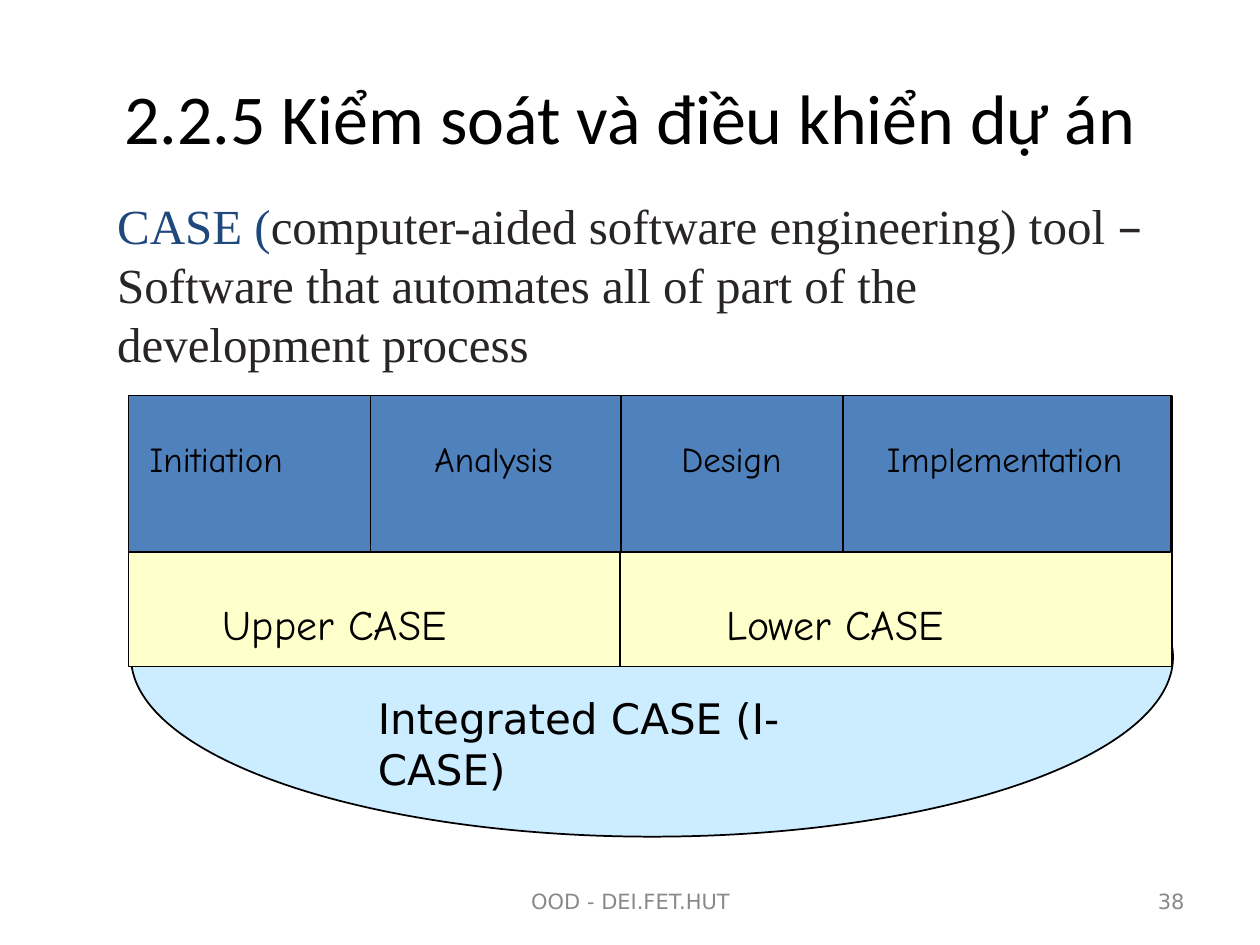
from dataclasses import dataclass

from lxml.etree import SubElement
from pptx import Presentation
from pptx.dml.color import RGBColor
from pptx.enum.shapes import MSO_SHAPE as Shape
from pptx.enum.text import MSO_ANCHOR as Anchor, MSO_AUTO_SIZE as AutoSize, PP_ALIGN as Align
from pptx.oxml.ns import qn
from pptx.util import Inches, Pt


@dataclass(frozen=True)
class Theme:
    """Colours, fonts and type sizes of the slide."""
    black: str = "000000"
    grey: str = "898989"
    navy: str = "1F497D"
    ink: str = "292526"
    blue: str = "4F81BD"
    yellow: str = "FFFFCC"
    sky: str = "CCECFF"
    heading: str = "Calibri"
    serif: str = "Times New Roman"
    casual: str = "Comic Neue"
    sans: str = "DejaVu Sans"
    title: int = 40
    body: int = 28
    label: int = 24
    phase: int = 20
    small: int = 12


THEME = Theme()
DIAGRAM_TOP = 3.14
CASE_HEIGHT = 2.15
PHASE_HEIGHT = 1.24
CASE_SPANS = [(4.86, 4.44), (1.02, 3.9)]
PHASE_SPANS = [(4.86, 2.15), (6.69, 2.6), (1.02, 1.99), (2.94, 1.99)]


def place(shape, left, top, width, height):
    """Move and size a shape, in inches."""
    shape.left, shape.top = Inches(left), Inches(top)
    shape.width, shape.height = Inches(width), Inches(height)


def add_run(paragraph, text, font, size, color):
    """Append formatted text to a paragraph."""
    run = paragraph.add_run()
    run.text = text
    run.font.name = font
    run.font.size = Pt(size)
    run.font.color.rgb = RGBColor.from_string(color)


def write_text(shape, *runs, font=THEME.sans, size=THEME.label, color=THEME.black,
               align=Align.LEFT, anchor=Anchor.TOP, tabs=()):
    """Fill a shape with one paragraph; a run is text or (text, font, color)."""
    frame = shape.text_frame
    frame.word_wrap = True
    frame.auto_size = AutoSize.NONE
    frame.vertical_anchor = anchor
    paragraph = frame.paragraphs[0]
    paragraph.alignment = align
    paragraph.space_before = Pt(0)
    for run in runs:
        text, run_font, run_color = (run, font, color) if isinstance(run, str) else run
        add_run(paragraph, text, run_font, size, run_color)
    if tabs:
        set_tabs(paragraph, tabs)
    return paragraph


def set_tabs(paragraph, positions):
    """Set left tab stops, in inches from the text edge."""
    tab_list = SubElement(paragraph._p.get_or_add_pPr(), qn("a:tabLst"))
    for position in positions:
        SubElement(tab_list, qn("a:tab"), pos=str(Inches(position)), algn="l")


def remove_bullet(paragraph):
    """Clear the bullet and hanging indent of a body paragraph."""
    properties = paragraph._p.get_or_add_pPr()
    properties.set("marL", "0")
    properties.set("indent", "0")
    SubElement(properties, qn("a:buNone"))


def add_label(slide, box, text, **style):
    """Add a text box with formatted text."""
    return write_text(slide.shapes.add_textbox(*map(Inches, box)), text, **style)


def add_block(slide, kind, box, fill):
    """Add a filled shape with a thin black outline."""
    shape = slide.shapes.add_shape(kind, *map(Inches, box))
    shape.shadow.inherit = False
    shape.fill.solid()
    shape.fill.fore_color.rgb = RGBColor.from_string(fill)
    shape.line.color.rgb = RGBColor.from_string(THEME.black)
    shape.line.width = Pt(1)


def add_heading(slide):
    """Fill the title and body placeholders."""
    title, body = slide.placeholders
    place(title, 0.5, 0.3, 9, 1.25)
    write_text(title, "2.2.5 Kiểm soát và điều khiển dự án", font=THEME.heading,
               size=THEME.title, align=Align.CENTER, anchor=Anchor.MIDDLE)
    place(body, 0.83, 1.67, 8.46, 1.17)
    definition = write_text(
        body,
        ("CASE (", THEME.serif, THEME.navy),
        "computer-aided software engineering) tool ",
        ("–", THEME.sans, THEME.ink),
        " Software that automates all of part of the development process",
        font=THEME.serif, size=THEME.body, color=THEME.ink, anchor=Anchor.MIDDLE)
    remove_bullet(definition)


def add_diagram(slide):
    """Draw the phases above the CASE tools that cover them."""
    add_block(slide, Shape.OVAL, (1.04, 3.79, 8.27, 2.85), THEME.sky)
    for spans, height, fill in ((CASE_SPANS, CASE_HEIGHT, THEME.yellow),
                                (PHASE_SPANS, PHASE_HEIGHT, THEME.blue)):
        for left, width in spans:
            add_block(slide, Shape.RECTANGLE, (left, DIAGRAM_TOP, width, height), fill)
    add_label(slide, (1.09, 3.42, 7.94, 0.43), "Initiation\tAnalysis\tDesign\tImplementation",
              font=THEME.casual, size=THEME.phase, tabs=(2.26, 4.22, 5.85))
    add_label(slide, (1.67, 4.7, 5.94, 0.5), "Upper CASE\tLower CASE",
              font=THEME.casual, tabs=(4,))
    add_label(slide, (2.9, 5.45, 4.05, 0.5), "Integrated CASE (I-CASE)")


def add_footer(slide):
    """Add the footer text and the slide number."""
    for left, width, text, align in ((3.42, 3.17, "OOD - DEI.FET.HUT", Align.CENTER),
                                     (7.17, 2.33, "38", Align.RIGHT)):
        add_label(slide, (left, 6.95, width, 0.4), text, size=THEME.small,
                  color=THEME.grey, align=align, anchor=Anchor.MIDDLE)


def main():
    """Build and save the slide."""
    presentation = Presentation()
    presentation.slide_width, presentation.slide_height = Inches(10), Inches(7.5)
    slide = presentation.slides.add_slide(presentation.slide_layouts[1])
    add_heading(slide)
    add_footer(slide)
    add_diagram(slide)
    presentation.save("out.pptx")


if __name__ == "__main__":
    main()
